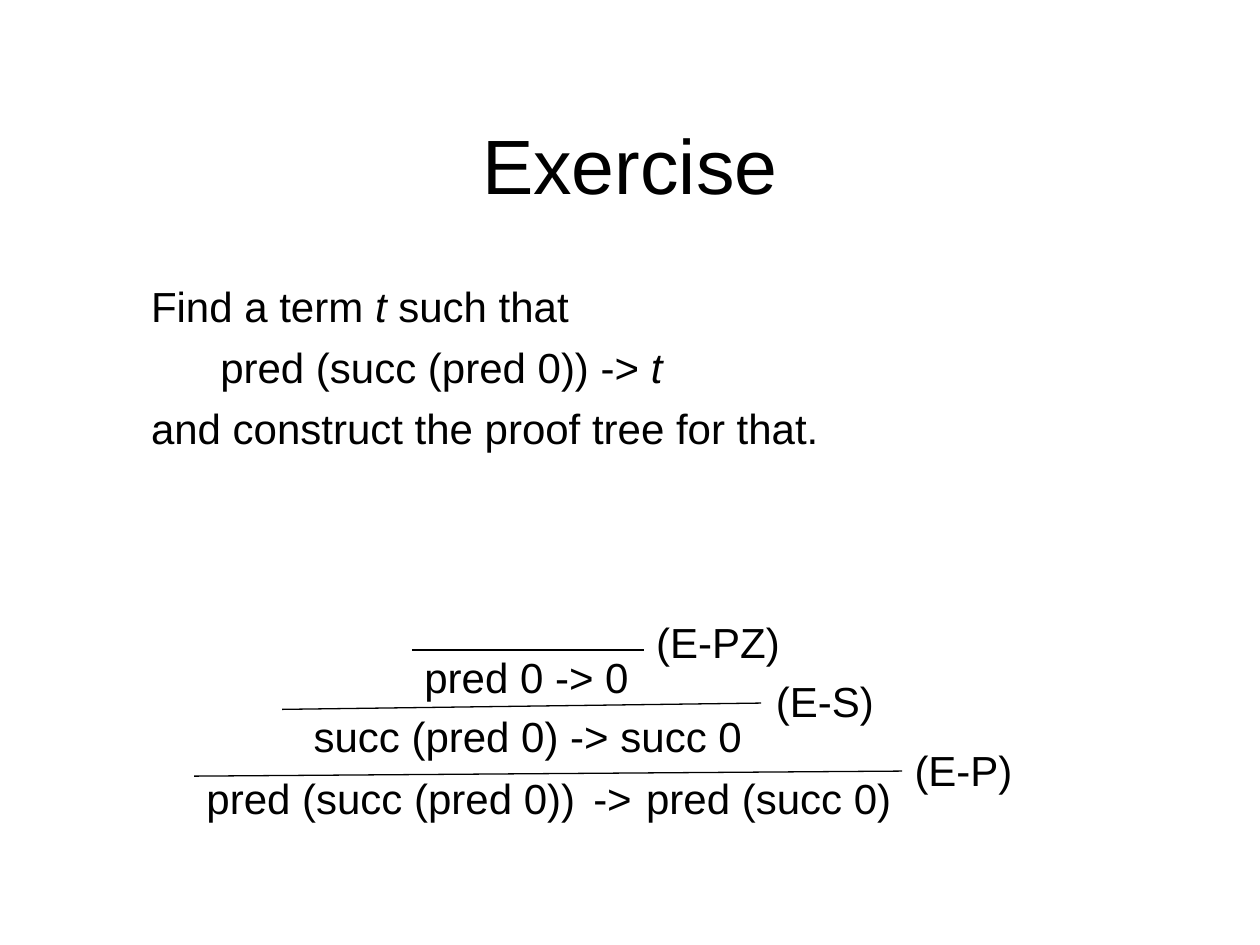
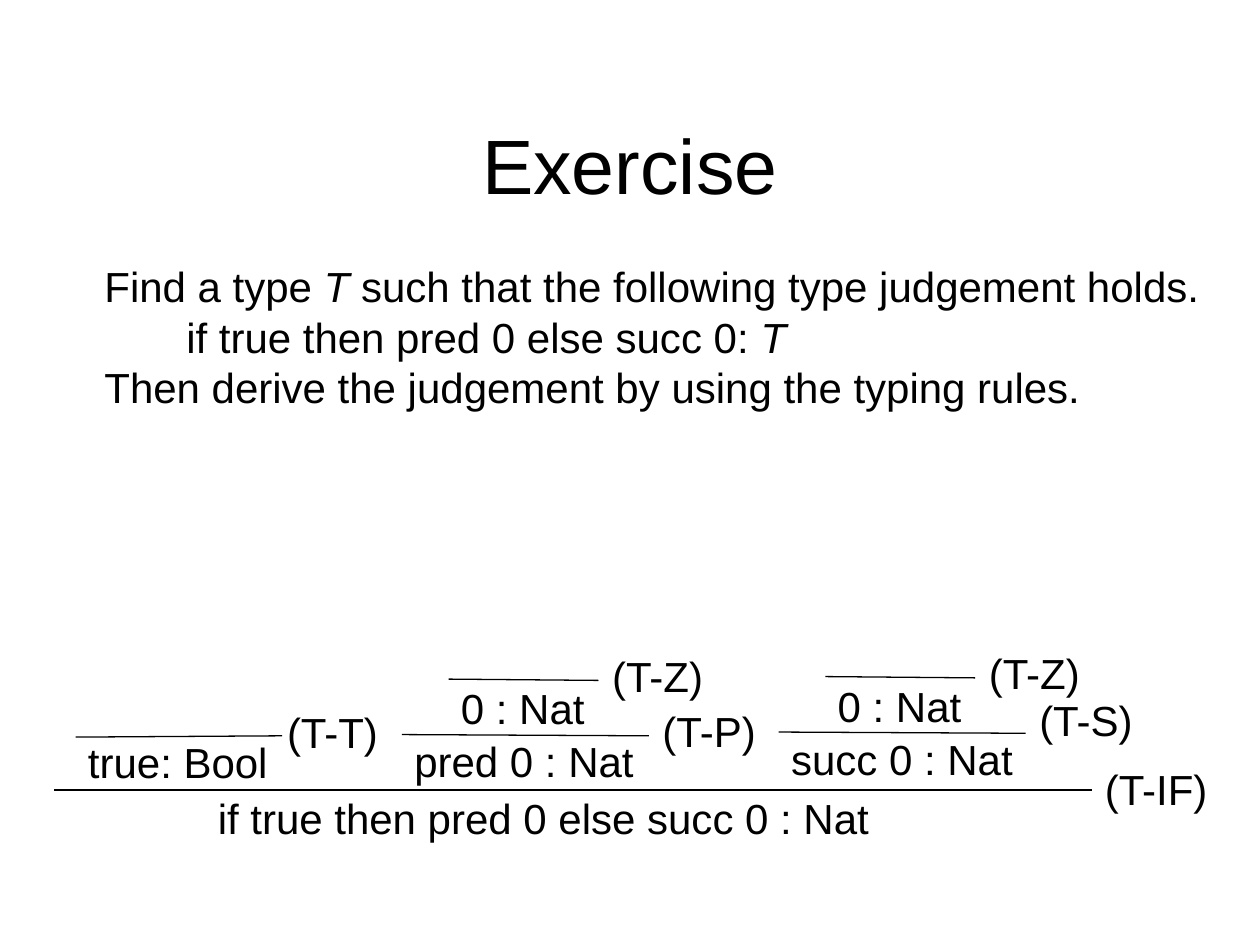
"""Build two exercise slides on evaluation and typing derivations."""
from lxml import etree
from pptx import Presentation
from pptx import util as u
from pptx.dml.color import RGBColor
from pptx.enum import shapes, text as t
from pptx.oxml.ns import qn

COLORS = {"ink": "000000", "paper": "FFFFFF"}
INK = RGBColor.from_string(COLORS["ink"])
FONT = "Arial"


def write(s, content, at, size=24, wrap=False, grow=True, align=t.PP_ALIGN.LEFT,
          anchor=t.MSO_ANCHOR.TOP, before=0, indents=(), tab=None):
    """Add a text box; words between asterisks are italic."""
    tf = s.shapes.add_textbox(*map(u.Inches, at)).text_frame
    tf.word_wrap = wrap
    tf.auto_size = t.MSO_AUTO_SIZE.SHAPE_TO_FIT_TEXT if grow else t.MSO_AUTO_SIZE.NONE
    tf.vertical_anchor = anchor
    for i, line in enumerate(content.split("\n")):
        p = tf.add_paragraph() if i else tf.paragraphs[0]
        p.alignment = align
        pPr = p._p.get_or_add_pPr()
        if i < len(indents):
            pPr.set("marL", str(u.Inches(indents[i])))
        if tab:
            stops = etree.SubElement(pPr, qn("a:tabLst"))
            etree.SubElement(stops, qn("a:tab"), pos=str(u.Inches(tab)), algn="l")
        if i and before:
            p.space_before = u.Pt(before)
        for j, part in enumerate(line.split("*")):
            if part:
                r = p.add_run()
                r.text = part
                r.font.name, r.font.size, r.font.italic = FONT, u.Pt(size), j % 2 == 1
                r.font.color.rgb = INK


def rule(s, *ends):
    """Draw an inference bar from x1, y1 to x2, y2."""
    bar = s.shapes.add_connector(shapes.MSO_CONNECTOR.STRAIGHT, *map(u.Inches, ends))
    bar.line.color.rgb = INK
    bar.line.width = u.Pt(0.75)
    etree.SubElement(bar._element.spPr, qn("a:effectLst"))


prs = Presentation()
prs.slide_width, prs.slide_height = u.Inches(10), u.Inches(7.5)

exercises = [
    {
        "task": "Find a term *t* such that\npred (succ (pred 0)) -> *t*\n"
                "and construct the proof tree for that.",
        "at": (1.1, 2.18, 8.01, 1.74),
        "format": dict(before=6, indents=(0, 0.55), grow=False),
        "bars": [(1.54, 6.16, 7.16, 6.12), (2.24, 5.63, 6.04, 5.58), (3.27, 5.16, 5.11, 5.16)],
        "terms": [
            ("pred (succ (pred 0))\t->", 1.54, 6.08, 3.72, dict(tab=3.07)),
            ("pred (succ 0)", 5.03, 6.08, 2.17, {}),
            ("(E-P)", 7.16, 5.86, 0.99, {}),
            ("succ (pred 0) -> succ 0", 2.39, 5.59, 3.73, {}),
            ("(E-S)", 6.06, 5.31, 0.99, {}),
            ("pred 0 -> 0", 3.27, 5.12, 1.84, {}),
            ("(E-PZ)", 5.11, 4.84, 1.19, {}),
        ],
    },
    {
        "task": "Find a type *T* such that the following type judgement holds.\n"
                "if true then pred 0 else succ 0: *T*\n"
                "Then derive the judgement by using the typing rules.",
        "at": (0.73, 2.02, 8.98, 1.31),
        "format": dict(indents=(0, 0.65)),
        "bars": [(0.43, 6.27, 8.67, 6.27), (0.6, 5.85, 2.24, 5.84)],
        "terms": [
            ("if true then pred 0 else succ 0 : Nat", 1.54, 6.24, 5.67,
             dict(wrap=True, indents=(0.09,))),
            ("(T-IF)", 8.67, 6.01, 1.02, {}),
            ("true: Bool", 0.6, 5.8, 1.64, {}),
            ("(T-T)", 2.18, 5.56, 0.93, {}),
        ],
    },
]

for x, y, term, name, name_y in [(3.19, 5.79, "pred 0 : Nat", "(T-P)", 5.55),
                                 (6.18, 5.77, "succ 0 : Nat", "(T-S)", 5.46)]:
    exercises[1]["bars"] += [(x, y + 0.04, x + 1.96, y + 0.05),
                             (x + 0.37, y - 0.4, x + 1.56, y - 0.39)]
    exercises[1]["terms"] += [
        (term, x, y, 1.97, {}),
        (name, x + 1.97, name_y, 1.04, dict(wrap=True)),
        ("0 : Nat", x + 0.37, y - 0.42, 1.96, dict(wrap=True)),
        ("(T-Z)", x + 1.57, y - 0.68, 0.93, {}),
    ]

for ex in exercises:
    s = prs.slides.add_slide(prs.slide_layouts[6])
    s.background.fill.solid()
    s.background.fill.fore_color.rgb = RGBColor.from_string(COLORS["paper"])
    write(s, "Exercise", (0.75, 0.67, 8.5, 1.25), size=44, wrap=True, grow=False,
          align=t.PP_ALIGN.CENTER, anchor=t.MSO_ANCHOR.MIDDLE)
    write(s, ex["task"], ex["at"], wrap=True, **ex["format"])
    for bar in ex["bars"]:
        rule(s, *bar)
    for label, x, y, width, fmt in ex["terms"]:
        write(s, label, (x, y, width, 0.5), **fmt)

prs.save("out.pptx")
